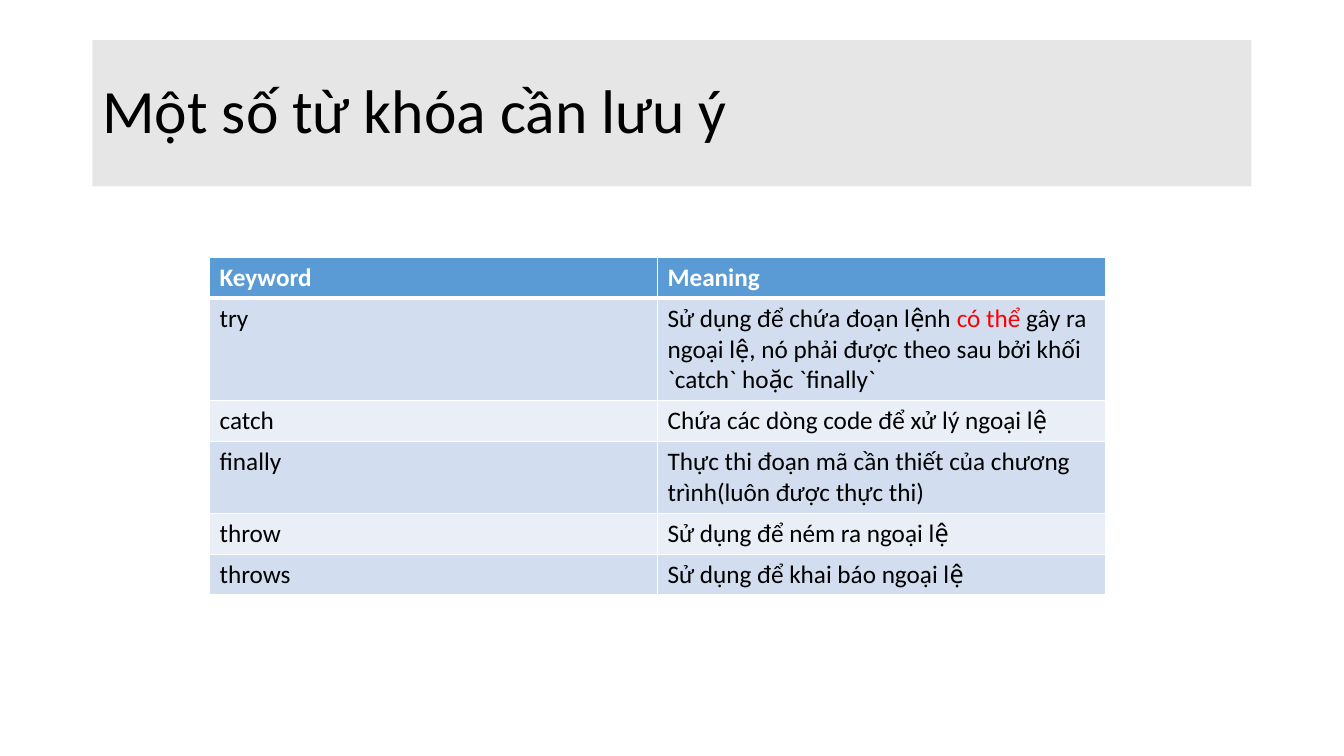
from lxml.etree import SubElement
from pptx import Presentation
from pptx.dml.color import RGBColor
from pptx.enum.shapes import MSO_SHAPE
from pptx.enum.text import MSO_ANCHOR, PP_ALIGN
from pptx.oxml.ns import qn
from pptx.util import Pt

HUES = {
    "title": "E7E6E6", "head": "5B9BD5", "odd": "D2DEEF", "even": "EAEFF7",
    "white": "FFFFFF", "black": "000000", "red": "FF0000",
}
FACE = "Calibri"
# The tone marks in the table are combining characters, so they are escaped.
USE = "S\u01b0\u0309 du\u0323ng \u0111\u00ea\u0309 "
FAULT = "ngoa\u0323i l\u00ea\u0323"
# Each meaning is a list of (text, colour) runs.
ROWS = [
    ("try", [
        (USE + "ch\u01b0\u0301a \u0111oa\u0323n l\u00ea\u0323nh ", "black"),
        ("co\u0301 th\u00ea\u0309 ", "red"),
        ("g\u00e2y ra " + FAULT + ", no\u0301 pha\u0309i "
         "\u0111\u01b0\u01a1\u0323c theo sau b\u01a1\u0309i "
         "kh\u00f4\u0301i `catch` ho\u0103\u0323c `finally`", "black")]),
    ("catch", [
        ("Ch\u1ee9a ca\u0301c d\u00f2ng code \u0111\u00ea\u0309 "
         "x\u01b0\u0309 ly\u0301 " + FAULT, "black")]),
    ("finally", [
        ("Th\u01b0\u0323c thi \u0111oa\u0323n ma\u0303 c\u00e2\u0300n "
         "thi\u00ea\u0301t cu\u0309a ch\u01b0\u01a1ng tri\u0300nh"
         "(lu\u00f4n \u0111\u01b0\u01a1\u0323c th\u01b0\u0323c thi)",
         "black")]),
    ("throw", [(USE + "ne\u0301m ra " + FAULT, "black")]),
    ("throws", [(USE + "khai ba\u0301o " + FAULT, "black")]),
]


def hue(name):
    """Return the named colour."""
    return RGBColor.from_string(HUES[name])


def style(par, size, bold=False):
    """Set the font that all runs of a paragraph share."""
    par.font.name = FACE
    par.font.size = Pt(size)
    par.font.bold = bold


def write(par, runs):
    """Add coloured runs to a paragraph."""
    for text, tint in runs:
        run = par.add_run()
        run.text = text
        run.font.color.rgb = hue(tint)


def add_title(slide, text):
    """Draw the grey title bar."""
    bar = slide.shapes.add_shape(
        MSO_SHAPE.RECTANGLE, Pt(66), Pt(28.75), Pt(828), Pt(104.4))
    bar.shadow.inherit = False
    bar.fill.solid()
    bar.fill.fore_color.rgb = hue("title")
    bar.line.fill.background()
    frame = bar.text_frame
    frame.word_wrap = True
    frame.vertical_anchor = MSO_ANCHOR.MIDDLE
    par = frame.paragraphs[0]
    par.alignment = PP_ALIGN.LEFT
    par.line_spacing = 0.9
    style(par, 44)
    write(par, [(text, "black")])


def add_edges(cell, base):
    """Give a cell white borders, with the bottom one of width base."""
    props = cell._tc.get_or_add_tcPr()
    for spot, (side, width) in enumerate(
            [("L", 1), ("R", 1), ("T", 1), ("B", base)]):
        line = SubElement(props, qn("a:ln" + side), w=str(Pt(width)))
        fill = SubElement(line, qn("a:solidFill"))
        SubElement(fill, qn("a:srgbClr"), val=HUES["white"])
        props.insert(spot, line)


def fill_cell(cell, runs, back, head=False):
    """Fill one table cell."""
    cell.fill.solid()
    cell.fill.fore_color.rgb = hue(back)
    par = cell.text_frame.paragraphs[0]
    style(par, 18, head)
    write(par, runs)
    add_edges(cell, 3 if head else 1)


def add_grid(slide):
    """Draw the keyword table."""
    frame = slide.shapes.add_table(
        len(ROWS) + 1, 2, Pt(149.7), Pt(183.9), Pt(640), Pt(239))
    table = frame.table
    for row in table.rows:
        row.height = Pt(29.2)
    table.rows[0].height = Pt(21.6)
    frame.height = Pt(239)
    for col, name in enumerate(["Keyword", "Meaning"]):
        fill_cell(table.cell(0, col), [(name, "white")], "head", True)
    for num, (word, sense) in enumerate(ROWS, 1):
        back = "odd" if num % 2 else "even"
        fill_cell(table.cell(num, 0), [(word, "black")], back)
        fill_cell(table.cell(num, 1), sense, back)


def main():
    """Build and save the slide."""
    deck = Presentation()
    deck.slide_width, deck.slide_height = Pt(960), Pt(540)
    slide = deck.slides.add_slide(deck.slide_layouts[6])
    add_title(slide, "M\u1ed9t s\u1ed1 t\u1eeb kh\u00f3a "
                     "c\u1ea7n l\u01b0u \u00fd")
    add_grid(slide)
    deck.save("out.pptx")


main()
